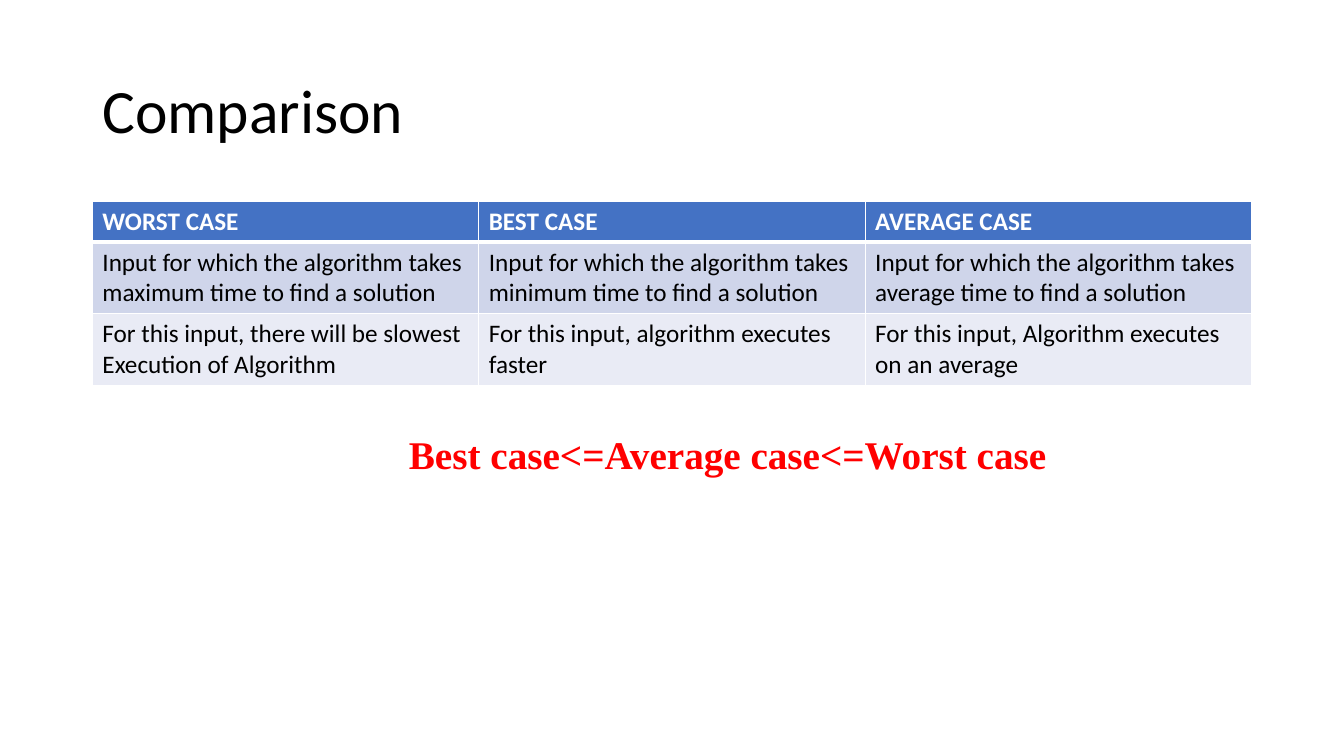
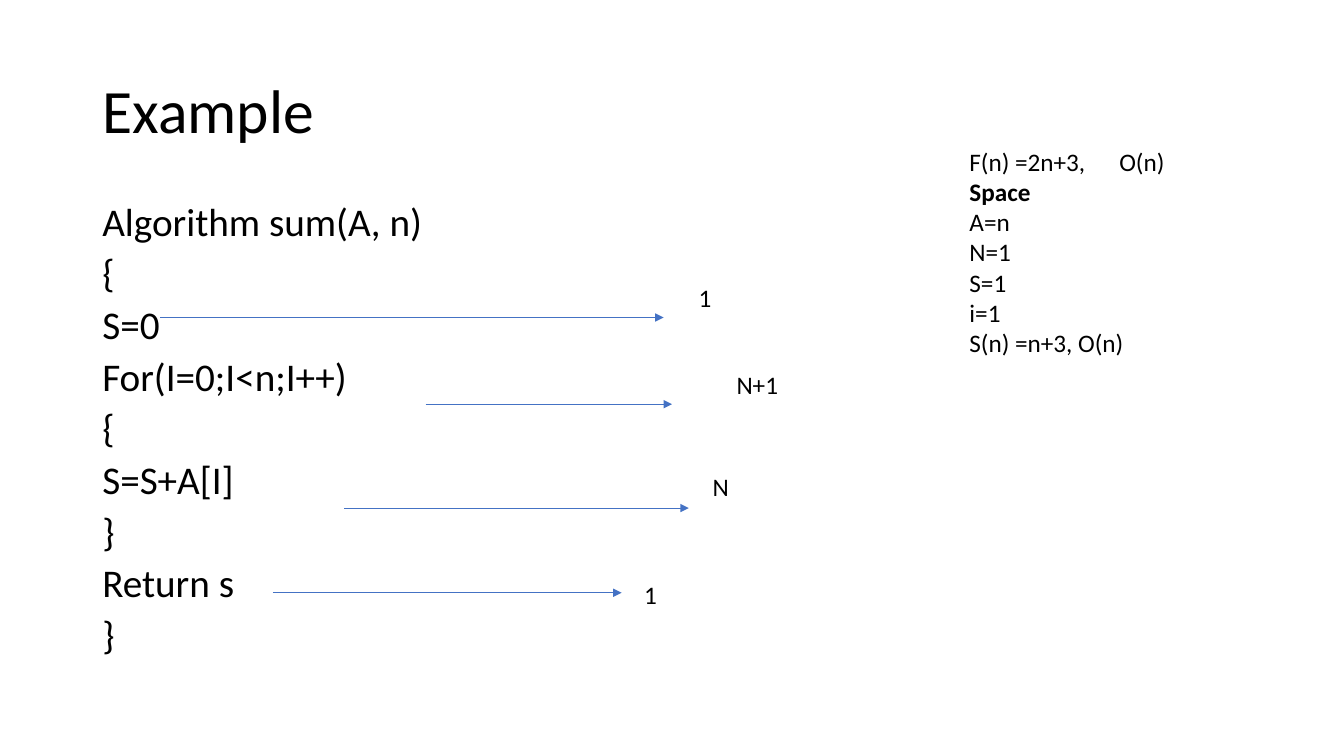
from lxml.etree import SubElement
from pptx import Presentation
from pptx.dml.color import RGBColor
from pptx.enum.shapes import MSO_CONNECTOR
from pptx.enum.text import MSO_ANCHOR, MSO_AUTO_SIZE, PP_ALIGN
from pptx.oxml.ns import qn
from pptx.util import Pt

BLACK = RGBColor(0x00, 0x00, 0x00)
WHITE = RGBColor(0xFF, 0xFF, 0xFF)
RED = RGBColor(0xFF, 0x00, 0x00)
BLUE = RGBColor(0x44, 0x72, 0xC4)
BAND_DARK = RGBColor(0xCF, 0xD5, 0xEA)
BAND_LIGHT = RGBColor(0xE9, 0xEB, 0xF5)
LEFT, WIDTH = 66, 828


def format_text(p, size, color=BLACK, bold=False, font="Calibri"):
    for r in p.runs:
        r.font.name = font
        r.font.size = Pt(size)
        r.font.bold = bold
        r.font.color.rgb = color


def add_text(s, x, y, w, h, text, size=18, **style):
    tf = s.shapes.add_textbox(Pt(x), Pt(y), Pt(w), Pt(h)).text_frame
    tf.word_wrap = True
    tf.text = text
    for p in tf.paragraphs:
        format_text(p, size, **style)
    return tf


prs = Presentation()
prs.slide_width, prs.slide_height = Pt(960), Pt(540)

slides = []
for title in ("Comparison", "Example"):
    s = prs.slides.add_slide(prs.slide_layouts[5])
    sp = s.shapes.title
    sp.left, sp.top, sp.width, sp.height = Pt(LEFT), Pt(28.75), Pt(WIDTH), Pt(104.4)
    tf = sp.text_frame
    tf.text = title
    tf.auto_size = MSO_AUTO_SIZE.NONE
    tf.vertical_anchor = MSO_ANCHOR.MIDDLE
    p = tf.paragraphs[0]
    p.alignment = PP_ALIGN.LEFT
    p.line_spacing = 0.9
    format_text(p, 44)
    slides.append(s)
comparison, example = slides

rows = [
    ("WORST CASE", "BEST CASE", "AVERAGE CASE"),
    ("Input for which the algorithm takes maximum time to find a solution",
     "Input for which the algorithm takes minimum time to find a solution",
     "Input for which the algorithm takes average time to find a solution"),
    ("For this input, there will be slowest Execution of Algorithm",
     "For this input, algorithm executes faster",
     "For this input, Algorithm executes on an average"),
]
row_styles = [(29.2, BLUE, WHITE), (51.2, BAND_DARK, BLACK), (51.2, BAND_LIGHT, BLACK)]
table = comparison.shapes.add_table(
    3, 3, Pt(LEFT), Pt(143.75), Pt(WIDTH), Pt(131.6)).table
for i, (texts, (height, fill, color)) in enumerate(zip(rows, row_styles)):
    table.rows[i].height = Pt(height)
    for j, text in enumerate(texts):
        cell = table.cell(i, j)
        cell.text = text
        format_text(cell.text_frame.paragraphs[0], 18, color, bold=i == 0)
        tcPr = cell._tc.get_or_add_tcPr()
        for side in ("L", "R", "T", "B"):
            thick = (i, side) in ((0, "B"), (1, "T"))
            ln = SubElement(tcPr, qn(f"a:ln{side}"), w=str(Pt(3 if thick else 1)))
            line_fill = SubElement(ln, qn("a:solidFill"))
            SubElement(line_fill, qn("a:srgbClr"), val=str(WHITE))
        cell.fill.solid()
        cell.fill.fore_color.rgb = fill

add_text(comparison, 285, 304, 481, 41, "Best case<=Average case<=Worst case",
         28, color=RED, bold=True, font="Times New Roman")

code = ["Algorithm sum(A, n)", "{", "S=0", "For(I=0;I<n;I++)", "{",
        "S=S+A[I]", "}", "Return s", "}"]
tf = add_text(example, LEFT, 143.75, WIDTH, 342.6, "\n".join(code), 28)
for p in tf.paragraphs:
    p.line_spacing = 0.8
    p.space_before = Pt(10)

steps = [
    (114.5, 474, 226.8, "1", 492, 198),
    (304, 480, 288.7, "N+1", 519, 260),
    (246, 492, 362.9, "N", 502, 332.8),
    (195, 444, 423.4, "1", 453, 410.5),
]
for x1, x2, y, count, text_x, text_y in steps:
    arrow = example.shapes.add_connector(
        MSO_CONNECTOR.STRAIGHT, Pt(x1), Pt(y), Pt(x2), Pt(y))
    arrow.line.color.rgb = BLUE
    arrow.line.width = Pt(0.5)
    SubElement(arrow.line._get_or_add_ln(), qn("a:tailEnd"), type="triangle")
    SubElement(arrow._element.spPr, qn("a:effectLst"))
    add_text(example, text_x, text_y, 76, 29, count)

costs = ["F(n) =2n+3,\tO(n)", "Space", "A=n", "N=1", "S=1", "i=1", "S(n) =n+3, O(n)"]
tf = add_text(example, 685.4, 100.8, 193, 247, "\n".join(costs))
tabs = SubElement(tf.paragraphs[0]._p.get_or_add_pPr(), qn("a:tabLst"))
SubElement(tabs, qn("a:tab"), pos=str(Pt(107)), algn="l")
format_text(tf.paragraphs[1], 18, bold=True)

prs.save("out.pptx")
